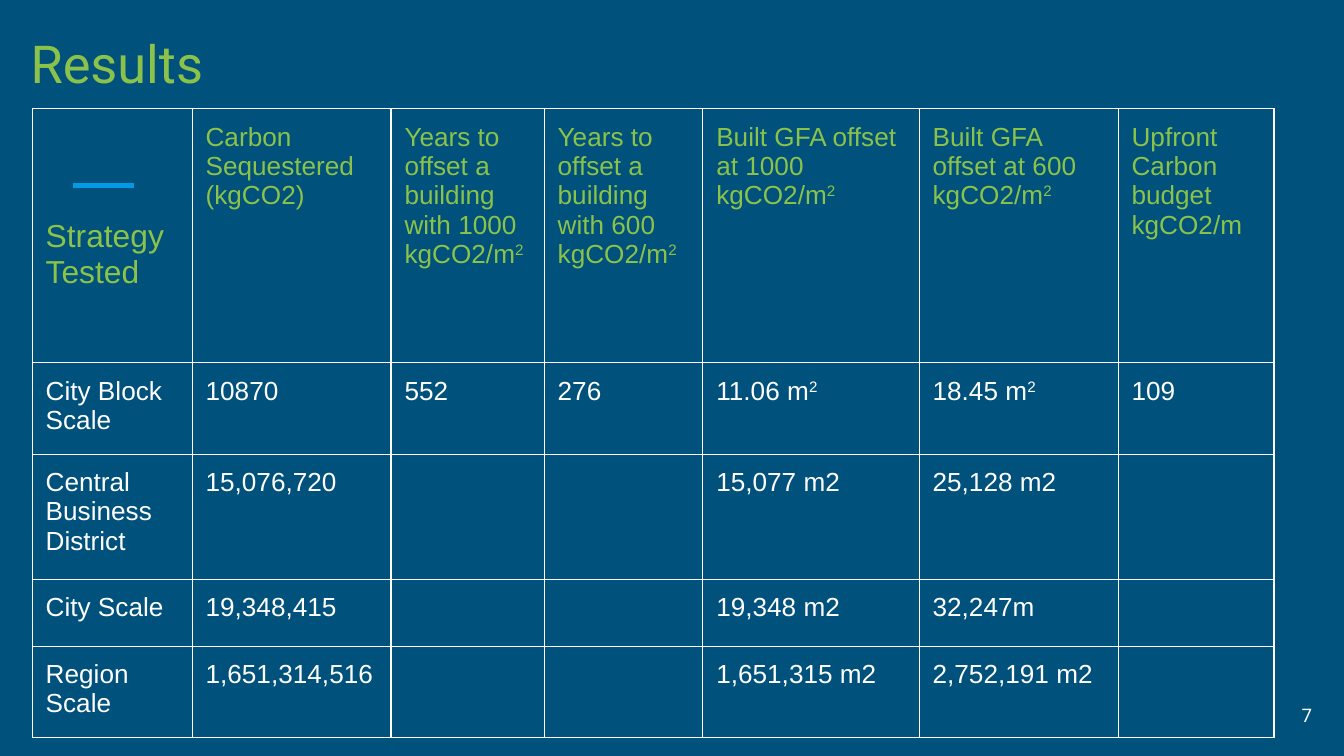
from lxml import etree
from pptx import Presentation
from pptx.dml.color import RGBColor
from pptx.enum.shapes import MSO_CONNECTOR
from pptx.enum.text import MSO_ANCHOR, PP_ALIGN
from pptx.oxml.ns import qn
from pptx.util import Inches, Pt

STRAIGHT = MSO_CONNECTOR.STRAIGHT
LEFT, RIGHT = PP_ALIGN.LEFT, PP_ALIGN.RIGHT
TOP, MIDDLE, BOTTOM = MSO_ANCHOR.TOP, MSO_ANCHOR.MIDDLE, MSO_ANCHOR.BOTTOM

THEME = {
    "background": "00517C", "green": "8BC34A", "white": "FFFFFF", "accent": "039BE5",
    "title_font": "Roboto", "table_font": "Arial",
    "title_size": 28, "corner_size": 17, "table_size": 14, "number_size": 10,
    "border_width": 0.75, "accent_width": 3,
}

TITLE = "Results"
PAGE_NUMBER = "7"
# "^" raises the rest of its line; a line break starts a new paragraph.
HEADER = [
    "Strategy\nTested",
    "Carbon\nSequestered (kgCO2)",
    "Years to\noffset a\nbuilding\nwith 1000\nkgCO2/m^2",
    "Years to offset a building with 600 kgCO2/m^2",
    "Built GFA offset at 1000 kgCO2/m^2",
    "Built GFA offset at 600 kgCO2/m^2",
    "Upfront Carbon budget kgCO2/m",
]
RESULTS = [
    ["City Block Scale", "10870", "552", "276", "11.06 m^2", "18.45 m^2", "109"],
    ["Central Business District", "15,076,720", "", "", "15,077 m2", "25,128 m2", ""],
    ["City Scale", "19,348,415", "", "", "19,348 m2", "32,247m", ""],
    ["Region Scale", "1,651,314,516", "", "", "1,651,315 m2", "2,752,191 m2", ""],
]
SLIDE_WIDTH = 10
SLIDE_HEIGHT = SLIDE_WIDTH * 9 / 16
COLUMN_WIDTHS = [1.19, 1.48, 1.14, 1.18, 1.61, 1.48, 1.16]
ROW_HEIGHTS = [1.89, 0.68, 0.93, 0.48, 0.68]
TABLE_LEFT, TABLE_TOP = 0.24, 0.81
INSET = 0.1
CORNER_BOTTOM_INSET = 0.54


def color(name):
    return RGBColor.from_string(THEME[name])


def format_run(run, font, size, color_name):
    run.font.name = THEME[font]
    run.font.size = Pt(THEME[size])
    run.font.color.rgb = color(color_name)


def set_insets(target):
    """Give a cell or text frame the same inset on all sides."""
    target.margin_left = target.margin_right = Inches(INSET)
    target.margin_top = target.margin_bottom = Inches(INSET)


def add_text(slide, text, box, size, color_name, align=LEFT, anchor=TOP):
    frame = slide.shapes.add_textbox(*map(Inches, box)).text_frame
    frame.word_wrap = True
    frame.vertical_anchor = anchor
    set_insets(frame)
    frame.text = text
    paragraph = frame.paragraphs[0]
    paragraph.alignment = align
    format_run(paragraph.runs[0], "title_font", size, color_name)


def add_accent_line(slide):
    line = slide.shapes.add_connector(STRAIGHT, *map(Inches, (0.54, 1.38, 1, 1.38)))
    line.line.color.rgb = color("accent")
    line.line.width = Pt(THEME["accent_width"])
    etree.SubElement(line._element.spPr, qn("a:effectLst"))


def set_borders(cell):
    properties = cell._tc.get_or_add_tcPr()
    for position, side in enumerate(("a:lnL", "a:lnR", "a:lnT", "a:lnB")):
        border = etree.Element(qn(side), w=str(Pt(THEME["border_width"])))
        fill = etree.SubElement(border, qn("a:solidFill"))
        etree.SubElement(fill, qn("a:srgbClr"), val=THEME["white"])
        properties.insert(position, border)


def fill_cell(cell, text, size, color_name):
    cell.fill.background()
    set_borders(cell)
    set_insets(cell)
    cell.text_frame.text = text
    for paragraph in cell.text_frame.paragraphs:
        base, _, raised = paragraph.text.partition("^")
        paragraph.text = base
        if raised:
            superscript = paragraph.add_run()
            superscript.text = raised
            superscript._r.get_or_add_rPr().set("baseline", "30000")
        for run in paragraph.runs:
            format_run(run, "table_font", size, color_name)


def add_results_table(slide):
    rows = [HEADER] + RESULTS
    frame = slide.shapes.add_table(
        len(rows), len(HEADER), Inches(TABLE_LEFT), Inches(TABLE_TOP),
        Inches(sum(COLUMN_WIDTHS)), Inches(sum(ROW_HEIGHTS)))
    table = frame.table
    table.first_row = table.horz_banding = False
    for column, width in zip(table.columns, COLUMN_WIDTHS):
        column.width = Inches(width)
    for row, height, texts in zip(table.rows, ROW_HEIGHTS, rows):
        row.height = Inches(height)
        color_name = "green" if texts is HEADER else "white"
        for cell, text in zip(row.cells, texts):
            size = "corner_size" if text == HEADER[0] else "table_size"
            fill_cell(cell, text, size, color_name)
    corner = table.cell(0, 0)
    corner.vertical_anchor = BOTTOM
    corner.margin_bottom = Inches(CORNER_BOTTOM_INSET)


def main():
    presentation = Presentation()
    presentation.slide_width = Inches(SLIDE_WIDTH)
    presentation.slide_height = Inches(SLIDE_HEIGHT)
    slide = presentation.slides.add_slide(presentation.slide_layouts[6])
    slide.background.fill.solid()
    slide.background.fill.fore_color.rgb = color("background")

    add_accent_line(slide)
    add_text(slide, PAGE_NUMBER, (9.48, 5.1, 0.38, 0.44), "number_size", "white",
             align=RIGHT, anchor=MIDDLE)
    add_text(slide, TITLE, (0.13, 0.13, 2.48, 0.67), "title_size", "green")
    add_results_table(slide)
    presentation.save("out.pptx")


if __name__ == "__main__":
    main()
